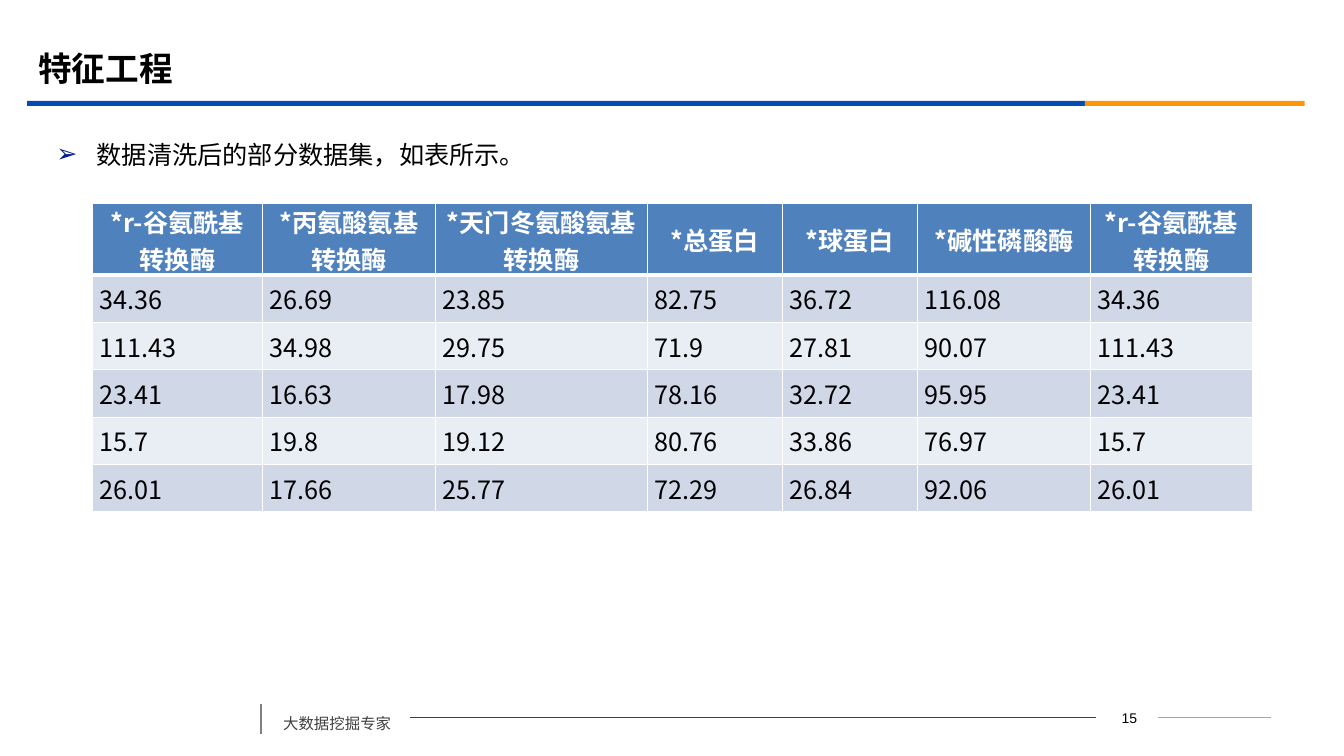
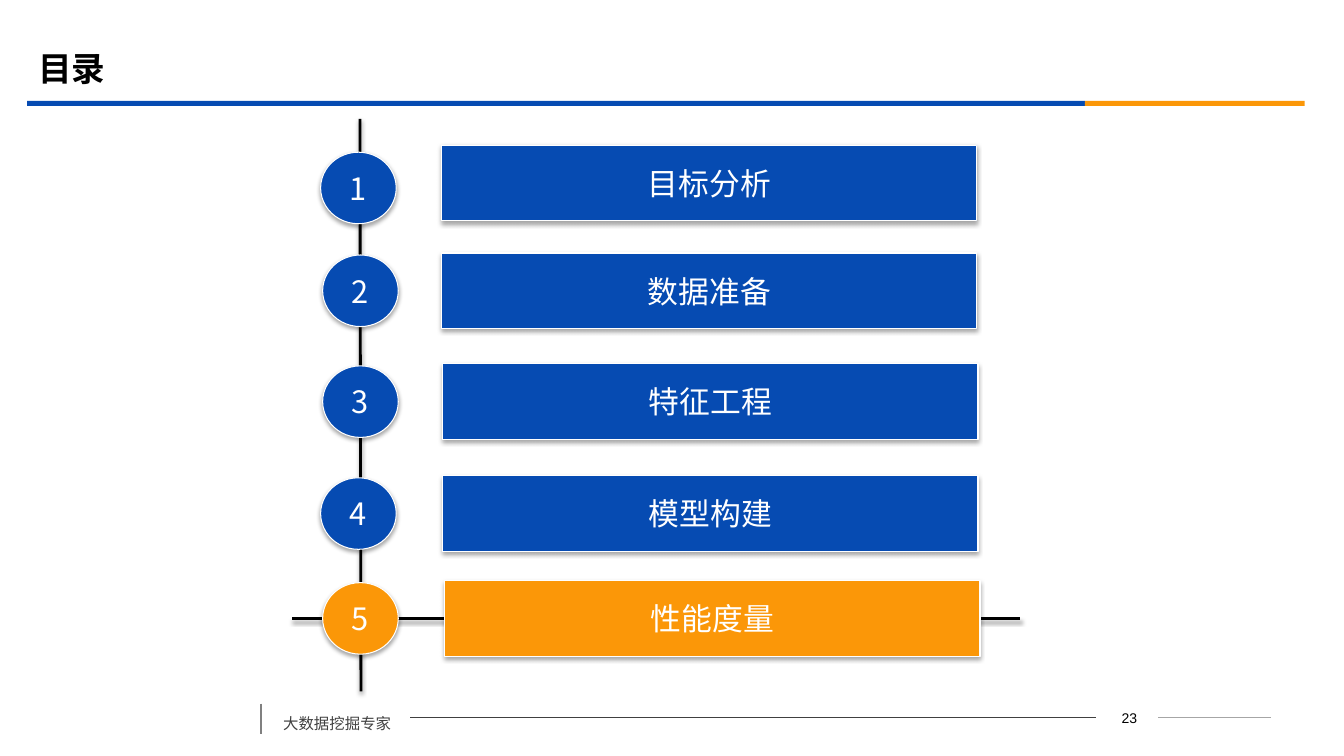
import lxml.etree
import pptx
import pptx.dml.color
import pptx.enum.shapes
import pptx.enum.text
import pptx.oxml.ns
import pptx.util

px = 9144
Pt = pptx.util.Pt
qn = pptx.oxml.ns.qn
sub = lxml.etree.SubElement
Shape = pptx.enum.shapes.MSO_SHAPE
Align = pptx.enum.text.PP_ALIGN
Anchor = pptx.enum.text.MSO_ANCHOR
rgb = pptx.dml.color.RGBColor.from_string
hues = {
    "blue": "064BB2", "gold": "FB9708", "navy": "032089", "head": "4F81BD",
    "odd": "D0D8E8", "even": "E9EDF4", "white": "FFFFFF", "black": "000000",
    "dark": "404040", "gray": "808080", "pale": "A6A6A6",
}
sans = "Noto Sans CJK SC"
serif = "Times New Roman"


def write(para, text, size, hue, face=sans, bold=False):
    run = para.add_run()
    run.text = text
    font = run.font
    font.size = Pt(size)
    font.bold = bold
    font.color.rgb = rgb(hues[hue])
    font.name = face
    sub(font._element, qn("a:ea"), typeface=sans)


def shade(item, alpha=0, drop=0):
    list_ = sub(item._element.spPr, qn("a:effectLst"))
    if alpha:
        cast = sub(list_, qn("a:outerShdw"), blurRad=str(Pt(3.1)), dist=str(Pt(drop)),
                   dir="5400000", rotWithShape="0")
        tone = sub(cast, qn("a:srgbClr"), val=hues["black"])
        sub(tone, qn("a:alpha"), val=str(alpha * 1000))


deck = pptx.Presentation()
deck.slide_width = 1333 * px
deck.slide_height = 750 * px

bands = [(27, 1049, "blue"), (1076, 218, "gold")]
rules = [
    (1149, 712, 1261, 712, "pale", 0.75, 0),
    (407, 712, 1087, 712, "dark", 0.75, 0),
    (259, 698, 259, 728, "gray", 1.25, 0),
]
axes = [
    (357, 118, 358, 686, "black", 2, 38),
    (290, 614, 1012, 614, "black", 2, 38),
]

for name, page, extra in [("特征工程", "15", []), ("目录", "23", axes)]:
    slide = deck.slides.add_slide(deck.slide_layouts[5])
    title = slide.shapes.title
    title.left, title.top, title.width, title.height = 28 * px, 39 * px, 1200 * px, 58 * px
    frame = title.text_frame
    frame.auto_size = pptx.enum.text.MSO_AUTO_SIZE.NONE
    frame.vertical_anchor = Anchor.MIDDLE
    frame.paragraphs[0].alignment = Align.LEFT
    write(frame.paragraphs[0], name, 24, "black", serif, True)

    for x, wide, hue in bands:
        band = slide.shapes.add_shape(Shape.RECTANGLE, x * px, 100 * px, wide * px, 5 * px)
        band.fill.solid()
        band.fill.fore_color.rgb = rgb(hues[hue])
        band.line.fill.background()
        band.shadow.inherit = False

    for x1, y1, x2, y2, hue, thick, alpha in rules + extra:
        rule = slide.shapes.add_connector(
            pptx.enum.shapes.MSO_CONNECTOR.STRAIGHT, x1 * px, y1 * px, x2 * px, y2 * px)
        rule.line.color.rgb = rgb(hues[hue])
        rule.line.width = Pt(thick)
        shade(rule, alpha, 1.6)

    foot = slide.shapes.add_textbox(271 * px, 694 * px, 136 * px, 38 * px).text_frame
    foot.word_wrap = True
    foot.paragraphs[0].line_spacing = 1.5
    foot.paragraphs[0].space_before = Pt(6)
    write(foot.paragraphs[0], "大数据挖掘专家", 11, "dark")

    count = slide.shapes.add_textbox(1089 * px, 699 * px, 62 * px, 25 * px).text_frame
    count.word_wrap = True
    count.paragraphs[0].alignment = Align.CENTER
    write(count.paragraphs[0], page, 10, "black", "Arial")

first, last = deck.slides

body = first.shapes.add_textbox(46 * px, 118 * px, 1215 * px, 60 * px).text_frame
body.word_wrap = True
para = body.paragraphs[0]
para.line_spacing = 1.5
para.space_before = Pt(3.6)
props = para._p.get_or_add_pPr()
props.set("marL", str(40 * px))
props.set("indent", str(-40 * px))
sub(sub(props, qn("a:buClr")), qn("a:srgbClr"), val=hues["navy"])
sub(props, qn("a:buFont"), typeface="Arial")
sub(props, qn("a:buChar"), char="➢")
write(para, "数据清洗后的部分数据集，如表所示。", 18, "black", serif)

rows = [
    ["*r-谷氨酰基转换酶", "*丙氨酸氨基转换酶", "*天门冬氨酸氨基转换酶",
     "*总蛋白", "*球蛋白", "*碱性磷酸酶"],
    ["34.36", "26.69", "23.85", "82.75", "36.72", "116.08"],
    ["111.43", "34.98", "29.75", "71.9", "27.81", "90.07"],
    ["23.41", "16.63", "17.98", "78.16", "32.72", "95.95"],
    ["15.7", "19.8", "19.12", "80.76", "33.86", "76.97"],
    ["26.01", "17.66", "25.77", "72.29", "26.84", "92.06"],
]
wides = [168, 172, 210, 134, 134, 172, 160]
talls = [71] + [47] * 5
grid = first.shapes.add_table(
    len(rows), len(wides), 92 * px, 202 * px, sum(wides) * px, sum(talls) * px).table
grid.horz_banding = False
for col, wide in zip(grid.columns, wides):
    col.width = wide * px
for r, row in enumerate(rows):
    grid.rows[r].height = talls[r] * px
    top = r == 0
    for c, text in enumerate(row + row[:1]):
        cell = grid.cell(r, c)
        cell.margin_left = cell.margin_right = 7 * px
        cell.margin_top = cell.margin_bottom = 0
        cell.vertical_anchor = Anchor.MIDDLE
        cell.fill.solid()
        cell.fill.fore_color.rgb = rgb(hues["head" if top else "odd" if r % 2 else "even"])
        para = cell.text_frame.paragraphs[0]
        para.alignment = Align.CENTER if top else Align.JUSTIFY
        write(para, text, 18, "white" if top else "black", sans, top)
        props = cell._tc.get_or_add_tcPr()
        for k, side in enumerate("LRTB"):
            heavy = (top and side == "B") or (r == 1 and side == "T")
            edge = sub(props, qn("a:ln" + side), w=str(Pt(3 if heavy else 1)))
            sub(sub(edge, qn("a:solidFill")), qn("a:srgbClr"), val=hues["white"])
            props.insert(k, edge)

steps = [
    ("目标分析", 438, 144, 318, 151, "blue"),
    ("数据准备", 438, 251, 320, 253, "blue"),
    ("特征工程", 439, 361, 320, 363, "blue"),
    ("模型构建", 439, 472, 318, 474, "blue"),
    ("性能度量", 441, 576, 320, 578, "gold"),
]
for n, (text, bx, by, dx, dy, hue) in enumerate(steps, 1):
    for kind, x, y, wide, tall, label in [
        (Shape.ACTION_BUTTON_CUSTOM, bx, by, 531, 75, text),
        (Shape.OVAL, dx, dy, 75, 71, str(n)),
    ]:
        item = last.shapes.add_shape(kind, x * px, y * px, wide * px, tall * px)
        item.fill.solid()
        item.fill.fore_color.rgb = rgb(hues[hue])
        item.line.color.rgb = rgb(hues["white"])
        item.line.width = Pt(0.75)
        shade(item, 35, 1.8)
        frame = item.text_frame
        frame.word_wrap = False
        frame.vertical_anchor = Anchor.MIDDLE
        frame.paragraphs[0].alignment = Align.CENTER
        write(frame.paragraphs[0], label, 22, "white")

deck.save("out.pptx")
